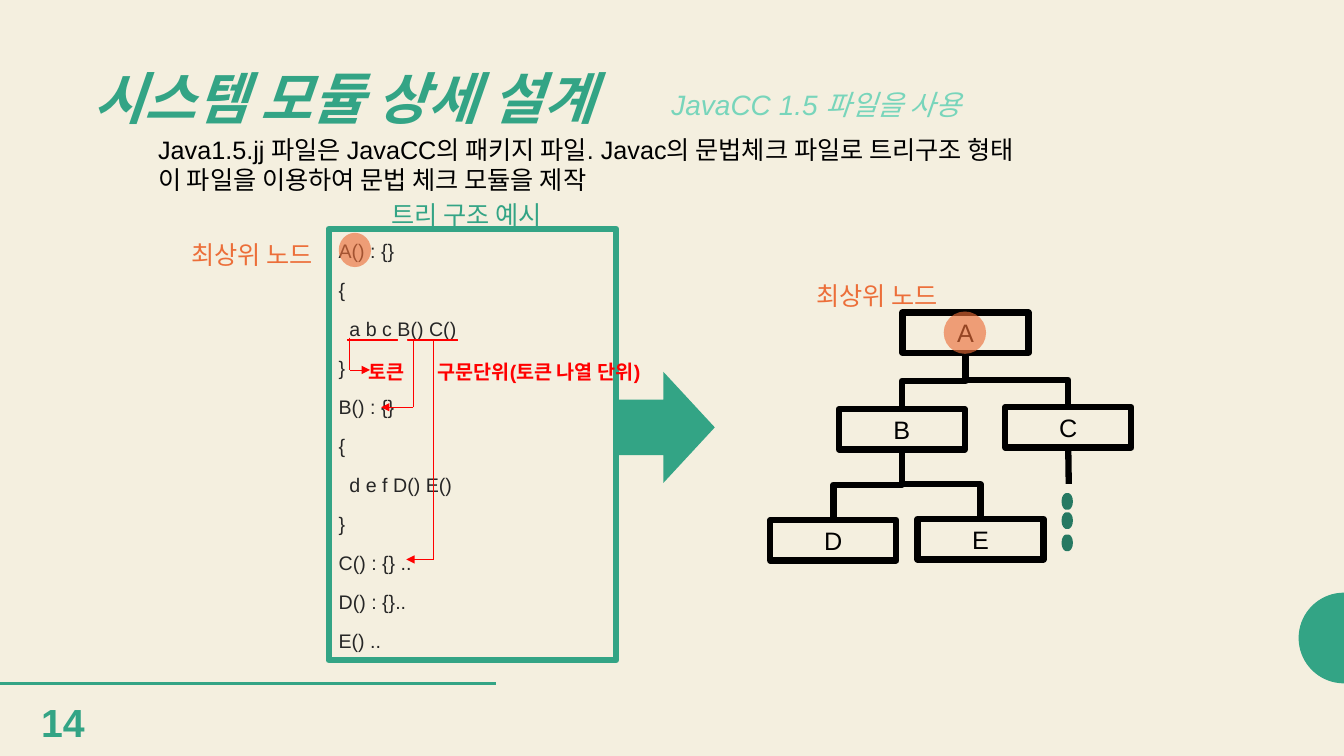
"""Build the slide that explains a JavaCC grammar as a tree."""
import math

from lxml import etree
from pptx import Presentation
from pptx.dml.color import RGBColor
from pptx.enum import shapes, text
from pptx.oxml.ns import qn
from pptx.util import Inches, Pt

GREEN, MINT, DARK_GREEN = "33A485", "78D5BB", "267962"
ORANGE, RED, BLACK, GRAY = "EC6E39", "FF0000", "000000", "262626"
GRAMMAR = ["A() : {}", "{", "  a b c B() C()", "}", "B() : {}", "{",
           "  d e f D() E()", "}", "C() : {} ..", "D() : {}..", "E() .."]
NODES = {"A": (8.95, 3.1), "B": (8.32, 4.06), "D": (7.64, 5.16),
         "E": (9.1, 5.15), "C": (9.97, 4.04)}
BRANCHES = ["AB", "AC", "BE", "BD"]
LABELS = [
    ("최상위 노드", (1.8, 2.33, 1.51, 0.4), 18, ORANGE, False),
    ("최상위 노드", (8, 2.73, 1.51, 0.4), 18, ORANGE, False),
    ("트리 구조 예시", (3.78, 1.93, 1.81, 0.4), 18, GREEN, False),
    ("토큰", (3.56, 3.52, 0.76, 0.34), 14, RED, True),
    ("구문단위(토큰 나열 단위)", (4.24, 3.52, 2.8, 0.34), 14, RED, True),
]
POINTERS = [
    ((4.1, 3.37), (4.1, 4.04), (3.78, 4.04)),
    ((4.3, 3.37), (4.3, 5.55), (4.03, 5.55)),
    ((3.47, 3.35), (3.47, 3.67), (3.67, 3.67)),
]


def color(value):
    """Turn a hex string into a colour."""
    return RGBColor.from_string(value)


def write(frame, lines, size, ink, bold=False, italic=False, align=None,
          anchor=text.MSO_ANCHOR.TOP, spacing=None, before=0):
    """Fill a text frame with one paragraph per line."""
    frame.word_wrap = True
    frame.vertical_anchor = anchor
    for index, line in enumerate(lines):
        paragraph = frame.add_paragraph() if index else frame.paragraphs[0]
        paragraph.alignment = align or text.PP_ALIGN.LEFT
        if spacing:
            paragraph.line_spacing = spacing
        if index and before:
            paragraph.space_before = Pt(before)
        run = paragraph.add_run()
        run.text = line
        font = run.font
        font.name, font.size, font.bold, font.italic = "Arial", Pt(size), bold, italic
        font.color.rgb = color(ink)


def label(slide, lines, box, size, ink, **style):
    """Add a text box."""
    frame = slide.shapes.add_textbox(*map(Inches, box)).text_frame
    write(frame, lines, size, ink, **style)


def paint(shape, fill=None, line=None, width=0, alpha=None):
    """Set the fill and outline of a shape and drop its shadow."""
    shape.shadow.inherit = False
    if fill:
        shape.fill.solid()
        shape.fill.fore_color.rgb = color(fill)
    else:
        shape.fill.background()
    if alpha:
        srgb = shape.fill._xPr.find(".//" + qn("a:srgbClr"))
        etree.SubElement(srgb, qn("a:alpha")).set("val", str(alpha * 1000))
    if line:
        shape.line.color.rgb = color(line)
        shape.line.width = Pt(width)
    else:
        shape.line.fill.background()


def block(slide, kind, box, **look):
    """Add a painted preset shape."""
    shape = slide.shapes.add_shape(kind, *map(Inches, box))
    paint(shape, **look)
    return shape


def connect(slide, start, end, ink, width, arrow=False, kind=shapes.MSO_CONNECTOR.STRAIGHT):
    """Add a connector, with an optional arrowhead at its end."""
    link = slide.shapes.add_connector(kind, *map(Inches, (*start, *end)))
    link.line.color.rgb = color(ink)
    link.line.width = Pt(width)
    if arrow:
        etree.SubElement(link.line._get_or_add_ln(), qn("a:tailEnd")).set("type", "triangle")
    etree.SubElement(link._element.spPr, qn("a:effectLst"))
    return link


def branch(slide, parent, child):
    """Join a parent node's bottom to a child node's top with a vertical elbow."""
    link = connect(slide, (0, 0), (1, 1), BLACK, 4.5, kind=shapes.MSO_CONNECTOR.ELBOW)
    link.begin_connect(parent, 2)
    link.end_connect(child, 0)
    dx, dy = link.end_x - link.begin_x, link.end_y - link.begin_y
    middle_x, middle_y = link.begin_x + dx // 2, link.begin_y + dy // 2
    link.left, link.top = middle_x - dy // 2, middle_y - abs(dx) // 2
    link.width, link.height = dy, abs(dx)
    frame = link._element.spPr.find(qn("a:xfrm"))
    frame.set("rot", str((270 if dx > 0 else 90) * 60000))
    frame.set("flipH", "1" if dx > 0 else "0")


def half_disc(slide, x, y, radius):
    """Add the half circle that sits on the right edge."""
    angles = [math.radians(degree) for degree in range(90, 271, 5)]
    points = [(Inches(x + radius * math.cos(a)), Inches(y + radius * math.sin(a)))
              for a in angles]
    builder = slide.shapes.build_freeform(*points[0])
    builder.add_line_segments(points[1:], close=True)
    paint(builder.convert_to_shape(), fill=GREEN)


def draw_header(slide):
    """Draw the decoration, title, subtitle and page number."""
    half_disc(slide, 13.33, 6.33, 0.45)
    connect(slide, (0, 6.78), (4.92, 6.78), GREEN, 2)
    label(slide, ["시스템 모듈 상세 설계"], (0.83, 0.61, 5.7, 0.79), 40, GREEN,
          bold=True, italic=True, anchor=text.MSO_ANCHOR.MIDDLE, spacing=0.9)
    label(slide, ["14"], (0.31, 6.88, 0.67, 0.57), 28, GREEN, bold=True)
    label(slide, ["JavaCC 1.5 파일을 사용"], (6.56, 0.82, 6.7, 0.59), 20, MINT, italic=True)
    label(slide, ["Java1.5.jj 파일은 JavaCC의 패키지 파일. Javac의 문법체크 파일로 트리구조 형태",
                  "이 파일을 이용하여 문법 체크 모듈을 제작"], (1.47, 1.28, 11.43, 0.71), 18, BLACK)


def draw_tree(slide):
    """Draw the node boxes, their branches and the continuation dots."""
    kinds = shapes.MSO_SHAPE
    nodes = {}
    for name, corner in NODES.items():
        nodes[name] = block(slide, kinds.RECTANGLE, (*corner, 1.25, 0.4), line=BLACK, width=4.5)
        write(nodes[name].text_frame, [name], 18, BLACK,
              align=text.PP_ALIGN.CENTER, anchor=text.MSO_ANCHOR.MIDDLE)
    for parent, child in BRANCHES:
        branch(slide, nodes[parent], nodes[child])
    stem = connect(slide, (10.6, 4.44), (10.6, 4.8), BLACK, 4.5)
    stem.begin_connect(nodes["C"], 2)
    for top in (4.92, 5.11, 5.33):
        block(slide, kinds.OVAL, (10.56, top, 0.05, 0.11), fill=BLACK, line=DARK_GREEN, width=4.5)


def main():
    """Build and save the slide."""
    deck = Presentation()
    deck.slide_width, deck.slide_height = Inches(13.33), Inches(7.5)
    slide = deck.slides.add_slide(deck.slide_layouts[6])
    slide.background.fill.solid()
    slide.background.fill.fore_color.rgb = color("F4EFDF")
    kinds = shapes.MSO_SHAPE

    draw_header(slide)
    grammar = block(slide, kinds.RECTANGLE, (3.26, 2.27, 2.85, 4.28), line=GREEN, width=4.5)
    write(grammar.text_frame, GRAMMAR, 14, GRAY, anchor=text.MSO_ANCHOR.MIDDLE,
          spacing=1.12, before=9)
    arrow = block(slide, kinds.RIGHT_ARROW, (6.13, 3.69, 0.96, 1.1), fill=GREEN)
    arrow.adjustments[1] = 0.53
    draw_tree(slide)

    for spot in ((9.36, 3.09, 0.42, 0.42), (3.36, 2.31, 0.32, 0.34)):
        block(slide, kinds.OVAL, spot, fill=ORANGE, alpha=63)
    for left in (3.36, 3.96):
        block(slide, kinds.MATH_MINUS, (left, 3.35, 0.67, 0.05), fill=RED, line=RED, width=1)
    for words, box, size, ink, bold in LABELS:
        label(slide, [words], box, size, ink, bold=bold)
    for start, corner, tip in POINTERS:
        connect(slide, start, corner, RED, 0.5)
        connect(slide, corner, tip, RED, 0.5, arrow=True)
    deck.save("out.pptx")


if __name__ == "__main__":
    main()
